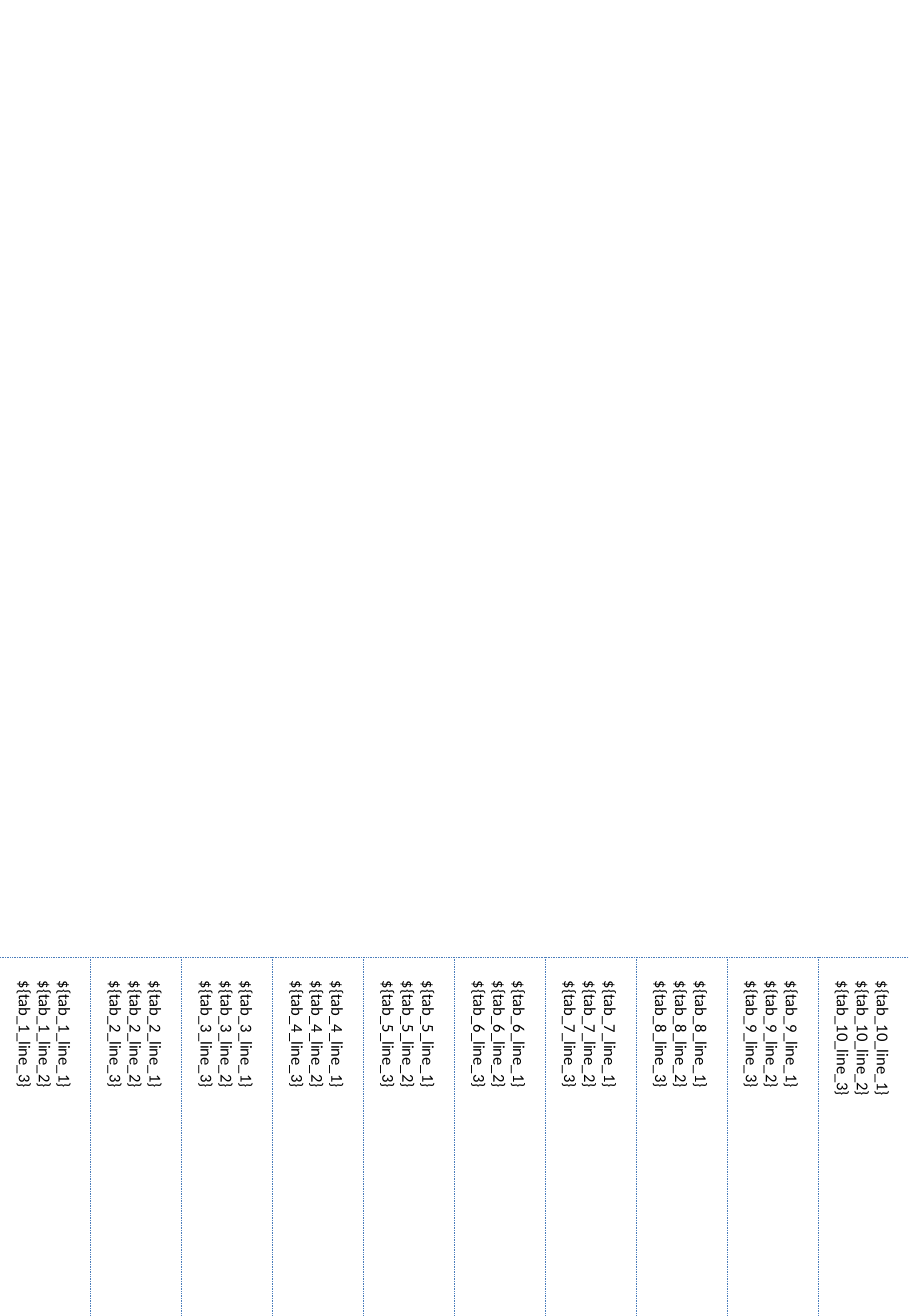
import pptx
import pptx.util
import pptx.dml.color
import pptx.enum.dml
import pptx.enum.shapes
import pptx.enum.text
import pptx.oxml

Inches = pptx.util.Inches
Pt = pptx.util.Pt
color = {"text": "000000", "rule": "4B7EBC"}
tabs = 10
wide, high, top = 7.6, 11, 8
step = wide / tabs

deck = pptx.Presentation()
deck.slide_width = Inches(wide)
deck.slide_height = Inches(high)
slide = deck.slides.add_slide(deck.slide_layouts[6])

for tab in range(tabs):
    box = slide.shapes.add_textbox(
        Inches(tab * step), Inches(top), Inches(step), Inches(high - top))
    frame = box.text_frame
    frame.word_wrap = False
    frame.vertical_anchor = pptx.enum.text.MSO_ANCHOR.MIDDLE
    frame.margin_left = frame.margin_right = Inches(0.05)
    frame.margin_top = Inches(0.2)
    frame.margin_bottom = 0
    frame._txBody.bodyPr.set("vert", "vert")
    frame.text = "\n".join(f"${{tab_{tab + 1}_line_{row}}}" for row in (1, 2, 3))
    for para in frame.paragraphs:
        para.font.name = "Calibri"
        para.font.size = Pt(10)
        para.font.color.rgb = pptx.dml.color.RGBColor.from_string(color["text"])

rules = [(0, top, wide, top)]
rules += [(tab * step, top, tab * step, high) for tab in range(1, tabs)]
for ends in rules:
    rule = slide.shapes.add_connector(
        pptx.enum.shapes.MSO_CONNECTOR.STRAIGHT, *[Inches(end) for end in ends])
    rule.line.color.rgb = pptx.dml.color.RGBColor.from_string(color["rule"])
    rule.line.width = Pt(0.5)
    rule.line.dash_style = pptx.enum.dml.MSO_LINE.ROUND_DOT
    rule._element.spPr.append(pptx.oxml.parse_xml(
        '<a:effectLst xmlns:a="http://schemas.openxmlformats.org/drawingml/2006/main"/>'))

deck.save("out.pptx")
